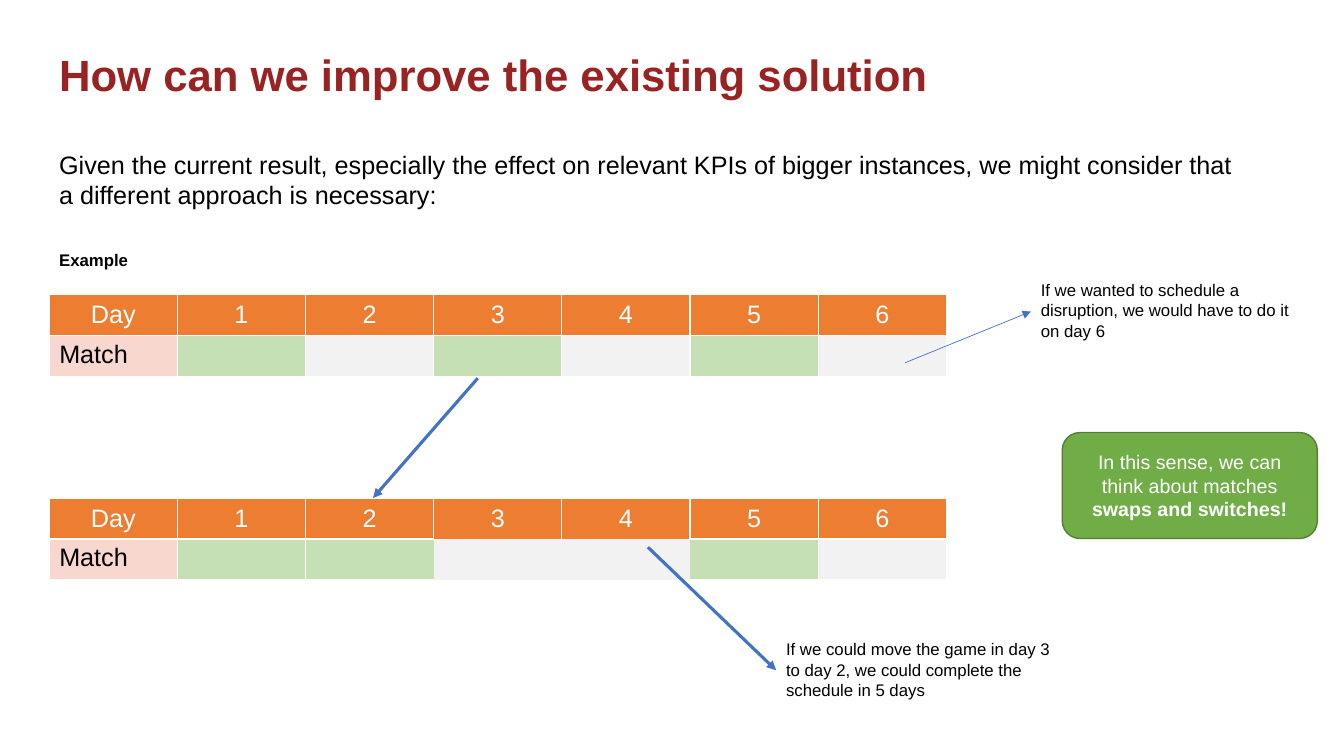
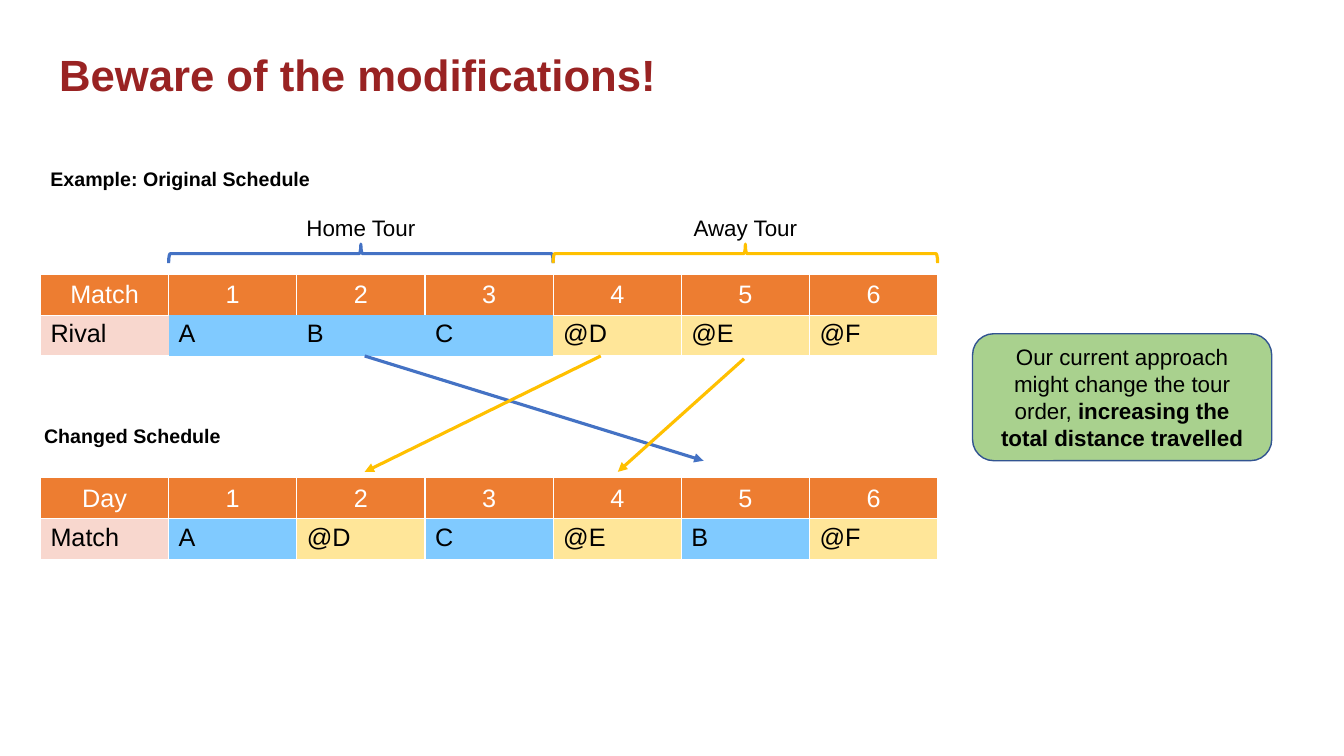
from dataclasses import dataclass

from lxml import etree
from pptx import Presentation
from pptx import util as u
from pptx.dml.color import RGBColor
from pptx.enum import shapes, text
from pptx.oxml.ns import qn

Cm, Pt = u.Cm, u.Pt


@dataclass(frozen=True)
class Theme:
    font: str = "Arial"
    title: str = "992323"
    ink: str = "000000"
    white: str = "FFFFFF"
    header: str = "ED7D31"
    row_name: str = "F8D7CE"
    played: str = "C5E0B4"
    free: str = "F2F2F2"
    home: str = "80CAFF"
    away: str = "FFE699"
    blue: str = "4472C4"
    gold: str = "FFC000"
    green: str = "70AD47"
    green_edge: str = "538035"
    pale_green: str = "A9D18E"
    navy: str = "325491"
    title_size: float = 31.2
    body_size: float = 18
    tour_size: float = 16
    label_size: float = 14
    note_size: float = 12
    thick: float = 2.25
    thin: float = 0.5
    border: float = 1


THEME = Theme()
DAYS = 6
COLUMN = 3.23
ROW = 1.03


class Slides:
    def __init__(self, theme):
        self.theme = theme
        self.deck = Presentation()
        self.deck.slide_width = Cm(33.87)
        self.deck.slide_height = Cm(19.05)
        self.page = None

    def new_page(self, title):
        self.page = self.deck.slides.add_slide(self.deck.slide_layouts[6])
        box = self.text(title, 1.24, 1.3, 26.8, 1.65, self.theme.title_size,
                        bold=True, color=self.theme.title)
        box.text_frame.vertical_anchor = text.MSO_ANCHOR.MIDDLE
        box.text_frame.paragraphs[0].line_spacing = Pt(23.2)

    def style(self, font, size, color, bold=False):
        font.name = self.theme.font
        font.size = Pt(size)
        font.bold = bold
        font.color.rgb = RGBColor.from_string(color)

    def outline(self, line, color, width):
        line.color.rgb = RGBColor.from_string(color)
        line.width = Pt(width)

    def text(self, words, left, top, width, height, size, bold=False,
             color=None, centred=False):
        box = self.page.shapes.add_textbox(Cm(left), Cm(top), Cm(width), Cm(height))
        frame = box.text_frame
        frame.word_wrap = True
        frame.text = words
        para = frame.paragraphs[0]
        if centred:
            para.alignment = text.PP_ALIGN.CENTER
        self.style(para.runs[0].font, size, color or self.theme.ink, bold)
        return box

    def arrow(self, start, end, color, width):
        line = self.page.shapes.add_connector(
            shapes.MSO_CONNECTOR.STRAIGHT, *map(Cm, start + end))
        self.outline(line.line, color, width)
        etree.SubElement(line.line._get_or_add_ln(), qn("a:tailEnd"), type="triangle")
        etree.SubElement(line._element.spPr, qn("a:effectLst"))

    def callout(self, plain, strong, place, size, fill, edge, ink):
        box = self.page.shapes.add_shape(
            shapes.MSO_SHAPE.ROUNDED_RECTANGLE, *map(Cm, place))
        box.shadow.inherit = False
        box.fill.solid()
        box.fill.fore_color.rgb = RGBColor.from_string(fill)
        self.outline(box.line, edge, self.theme.border)
        frame = box.text_frame
        frame.word_wrap = True
        frame.vertical_anchor = text.MSO_ANCHOR.MIDDLE
        para = frame.paragraphs[0]
        para.alignment = text.PP_ALIGN.CENTER
        for words, bold in ((plain, False), (strong, True)):
            span = para.add_run()
            span.text = words
            self.style(span.font, size, ink, bold)

    def tour(self, name, table_left, first_day, color):
        centre = table_left + COLUMN * (first_day + 1.5)
        length, depth = 3 * COLUMN, 0.48
        brace = self.page.shapes.add_shape(
            shapes.MSO_SHAPE.RIGHT_BRACE, Cm(centre - depth / 2),
            Cm(6.39 - length / 2), Cm(depth), Cm(length))
        brace.rotation = 270
        brace.shadow.inherit = False
        brace.fill.background()
        self.outline(brace.line, color, self.theme.thick)
        self.text(name, centre - 2, 5.28, 4, 0.94, self.theme.tour_size, centred=True)

    def borders(self, cell, drawn):
        properties = cell._tc.get_or_add_tcPr()
        for index, side in enumerate("LRTB"):
            line = etree.Element(qn("a:ln" + side), w=str(Pt(self.theme.border)))
            if side in drawn:
                fill = etree.SubElement(line, qn("a:solidFill"))
                etree.SubElement(fill, qn("a:srgbClr"), val=self.theme.white)
            else:
                etree.SubElement(line, qn("a:noFill"))
            properties.insert(index, line)

    def schedule(self, left, top, names, entries, fills, joined=()):
        theme = self.theme
        table = self.page.shapes.add_table(
            2, DAYS + 1, Cm(left), Cm(top), Cm(COLUMN * (DAYS + 1)), Cm(ROW * 2)).table
        for column in table.columns:
            column.width = Cm(COLUMN)
        for row in table.rows:
            row.height = Cm(ROW)
        head = [names[0], *map(str, range(1, DAYS + 1))]
        body = [names[1], *entries]
        colors = [[theme.header] * (DAYS + 1), [theme.row_name, *fills]]
        for r, words in enumerate((head, body)):
            for c, word in enumerate(words):
                cell = table.cell(r, c)
                cell.text = word
                para = cell.text_frame.paragraphs[0]
                self.style(para.font, theme.body_size, theme.ink if r else theme.white)
                for span in para.runs:
                    self.style(span.font, theme.body_size, theme.ink if r else theme.white)
                if r == 0:
                    para.alignment = text.PP_ALIGN.CENTER
                    cell.vertical_anchor = text.MSO_ANCHOR.MIDDLE
                cell.fill.solid()
                cell.fill.fore_color.rgb = RGBColor.from_string(colors[r][c])
                hidden = set()
                if c in joined:
                    hidden |= set("LRTB") if r else {"B"}
                if r and c - 1 in joined:
                    hidden.add("L")
                if r and c + 1 in joined:
                    hidden.add("R")
                self.borders(cell, set("LRTB") - hidden)


def improvement_page(slides):
    t = slides.theme
    left = 1.24
    slides.new_page("How can we improve the existing solution")
    slides.text("Given the current result, especially the effect on relevant KPIs of "
                "bigger instances, we might consider that a different approach is "
                "necessary:", left, 3.63, 30.18, 13.69, t.body_size)
    slides.text("Example", left, 6.17, 2.6, 0.76, t.note_size, bold=True)
    for top, match_days, joined in ((7.42, (1, 3, 5), ()), (12.55, (1, 2, 5), (3, 4))):
        fills = [t.played if day in match_days else t.free for day in range(1, DAYS + 1)]
        slides.schedule(left, top, ("Day", "Match"), [""] * DAYS, fills, joined)
    for words, x, y in (
        ("If we wanted to schedule a disruption, we would have to do it on day 6",
         25.98, 6.93),
        ("If we could move the game in day 3 to day 2, we could complete the "
         "schedule in 5 days", 19.56, 15.98),
    ):
        slides.text(words, x, y, 7.21, 1.8, t.note_size)
    for start, end, width in (
        ((22.81, 9.14), (25.98, 7.85), t.thin),
        ((12.04, 9.53), (9.4, 12.55), t.thick),
        ((16.33, 13.79), (19.56, 16.89), t.thick),
    ):
        slides.arrow(start, end, t.blue, width)
    slides.callout("In this sense, we can think about matches ", "swaps and switches!",
                   (26.77, 10.9, 6.43, 2.67), t.label_size, t.green, t.green_edge, t.white)


def modification_page(slides):
    t = slides.theme
    left = 1.02
    slides.new_page("Beware of the modifications!")
    slides.text("Example: Original Schedule", left, 4.09, 7.5, 0.86, t.label_size, bold=True)
    slides.text("Changed Schedule", 0.86, 10.57, 5.5, 0.86, t.label_size, bold=True)
    for top, names, rivals, joined in (
        (6.91, ("Match", "Rival"), ("A", "B", "C", "@D", "@E", "@F"), (1, 2, 3)),
        (12.04, ("Day", "Match"), ("A", "@D", "C", "@E", "B", "@F"), ()),
    ):
        fills = [t.away if rival.startswith("@") else t.home for rival in rivals]
        slides.schedule(left, top, names, rivals, fills, joined)
    for start, end, color in (
        ((9.19, 8.97), (17.73, 11.61), t.blue),
        ((15.14, 8.97), (9.19, 11.89), t.gold),
        ((18.75, 9.04), (15.57, 11.89), t.gold),
    ):
        slides.arrow(start, end, color, t.thick)
    slides.callout("Our current approach might change the tour order, ",
                   "increasing the total distance travelled",
                   (24.51, 8.41, 7.54, 3.2), t.tour_size, t.pale_green, t.navy, t.ink)
    slides.tour("Home Tour", left, 1, t.blue)
    slides.tour("Away Tour", left, 4, t.gold)


def main():
    slides = Slides(THEME)
    improvement_page(slides)
    modification_page(slides)
    slides.deck.save("out.pptx")


if __name__ == "__main__":
    main()
